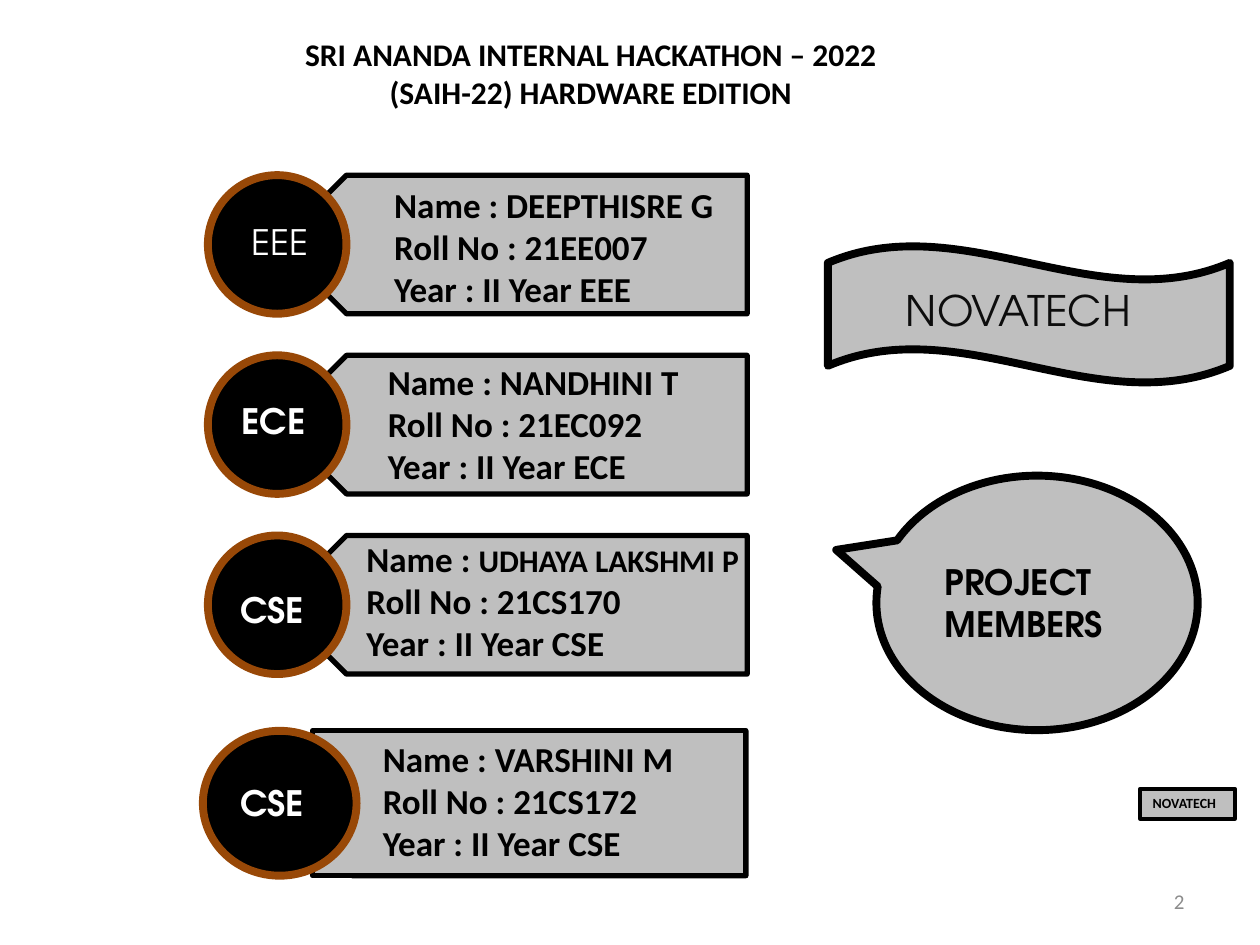
from pptx import Presentation
from pptx.dml.color import RGBColor
from pptx.enum.shapes import MSO_SHAPE
from pptx.enum.text import MSO_ANCHOR, MSO_AUTO_SIZE, PP_ALIGN
from pptx.util import Inches, Pt

PLATE, DISC, RECT = MSO_SHAPE.PENTAGON, MSO_SHAPE.OVAL, MSO_SHAPE.RECTANGLE
WAVE, CALLOUT = MSO_SHAPE.WAVE, MSO_SHAPE.OVAL_CALLOUT
TOP, MIDDLE = MSO_ANCHOR.TOP, MSO_ANCHOR.MIDDLE
LEFT, CENTER, RIGHT = PP_ALIGN.LEFT, PP_ALIGN.CENTER, PP_ALIGN.RIGHT
NO_FIT = MSO_AUTO_SIZE.NONE

BODY, DISPLAY = "Calibri", "TeX Gyre Adventor"
BLACK, WHITE, GRAY, BROWN = "000000", "FFFFFF", "BFBFBF", "984807"
TEAM = "NOVATECH"

# Plate box, disc box, badge text, badge box, details box, name, name size, roll, year
MEMBERS = [
    ((2.2, 1.39, 3.73, 1.1), (1.65, 1.39, 1.1, 1.1), "EEE", (1.75, 1.7, 0.94, 0.44),
     (3.03, 1.41, 2.78, 1.1), "DEEPTHISRE G", 20, "21EE007"),
    ((2.2, 2.82, 3.73, 1.1), (1.65, 2.82, 1.1, 1.1), "ECE", (1.82, 3.12, 0.82, 0.44),
     (2.98, 2.81, 2.68, 1.41), "NANDHINI T", 20, "21EC092"),
    ((2.2, 4.25, 3.73, 1.1), (1.65, 4.25, 1.1, 1.1), "CSE", (1.81, 4.62, 0.83, 0.44),
     (2.81, 4.22, 4.14, 1.41), "UDHAYA LAKSHMI P", 18, "21CS170"),
    ((2.22, 5.8, 3.7, 1.15), (1.61, 5.8, 1.22, 1.15), "CSE", (1.81, 6.15, 1.14, 0.44),
     (2.94, 5.8, 4.07, 1.45), "VARSHINI M", 20, "21CS172"),
]


def rgb(value):
    return RGBColor.from_string(value)


def inches(box):
    return [Inches(v) for v in box]


def add_run(p, text, size, font=BODY, color=BLACK, bold=True):
    r = p.add_run()
    r.text = text
    r.font.size = Pt(size)
    r.font.name = font
    r.font.bold = bold
    r.font.color.rgb = rgb(color)


def add_figure(s, kind, box, fill=GRAY, line=BLACK, width=3.0, rotation=0):
    sp = s.shapes.add_shape(kind, *inches(box))
    sp.shadow.inherit = False
    sp.rotation = rotation
    sp.fill.solid()
    sp.fill.fore_color.rgb = rgb(fill)
    sp.line.color.rgb = rgb(line)
    sp.line.width = Pt(width)
    return sp


def add_text(s, box, lines, align=LEFT, anchor=TOP):
    """Each line is a list of runs, each run the arguments of add_run."""
    tf = s.shapes.add_textbox(*inches(box)).text_frame
    tf.word_wrap = True
    tf.vertical_anchor = anchor
    for i, runs in enumerate(lines):
        p = tf.paragraphs[0] if i == 0 else tf.add_paragraph()
        p.alignment = align
        for run in runs:
            add_run(p, *run)


def add_title(s, text):
    sp = s.shapes.title
    sp.left, sp.top, sp.width, sp.height = inches((2.19, 0.23, 5, 0.71))
    tf = sp.text_frame
    tf.word_wrap = True
    tf.auto_size = NO_FIT
    tf.vertical_anchor = TOP
    p = tf.paragraphs[0]
    p.alignment = CENTER
    add_run(p, text, 18)


def add_member(s, plate, disc, branch, badge, details, name, name_size, roll):
    first, last = branch == "EEE", plate is MEMBERS[-1][0]
    add_figure(s, PLATE, plate, rotation=180)
    if last:  # squared-off front of the last plate
        add_figure(s, RECT, (2.48, 5.8, 3.44, 1.15))
    add_figure(s, DISC, disc, BLACK, BROWN, 4.5)
    add_text(s, badge, [[(branch, 20, DISPLAY, WHITE, not first)]],
             CENTER if first else LEFT)
    add_text(s, details, [
        [("Name : ", 20), (name, name_size)],
        [(f"Roll No : {roll}", 20)],
        [(f"Year : II Year {branch}", 20)],
    ])


def main():
    prs = Presentation()
    prs.slide_width, prs.slide_height = Inches(10), Inches(7.5)
    s = prs.slides.add_slide(prs.slide_layouts[5])

    add_title(s, "SRI ANANDA INTERNAL HACKATHON – 2022 (SAIH-22) HARDWARE EDITION")

    # Team members
    for member in MEMBERS:
        add_member(s, *member)

    # Team banner
    add_figure(s, WAVE, (6.57, 1.95, 3.19, 1.09), width=4.5)
    add_text(s, (7.09, 2.21, 2.67, 0.5), [[(TEAM, 24, DISPLAY, "0D0D0D", False)]])

    # Callout
    add_figure(s, CALLOUT, (7.22, 3.51, 2.02, 2.55), width=4.5, rotation=90)
    add_text(s, (7.4, 4.4, 1.86, 0.77), [[("PROJECT MEMBERS", 20, DISPLAY)]])

    # Team tag and page number
    tag = add_figure(s, RECT, (9.05, 6.26, 0.75, 0.24), width=2.25)
    tag.text_frame.vertical_anchor = TOP
    p = tag.text_frame.paragraphs[0]
    p.alignment = LEFT
    add_run(p, TEAM, 8)
    add_text(s, (7.17, 6.95, 2.33, 0.4), [[("2", 12, BODY, "8C8C8C", False)]],
             RIGHT, MIDDLE)

    prs.save("out.pptx")


if __name__ == "__main__":
    main()
